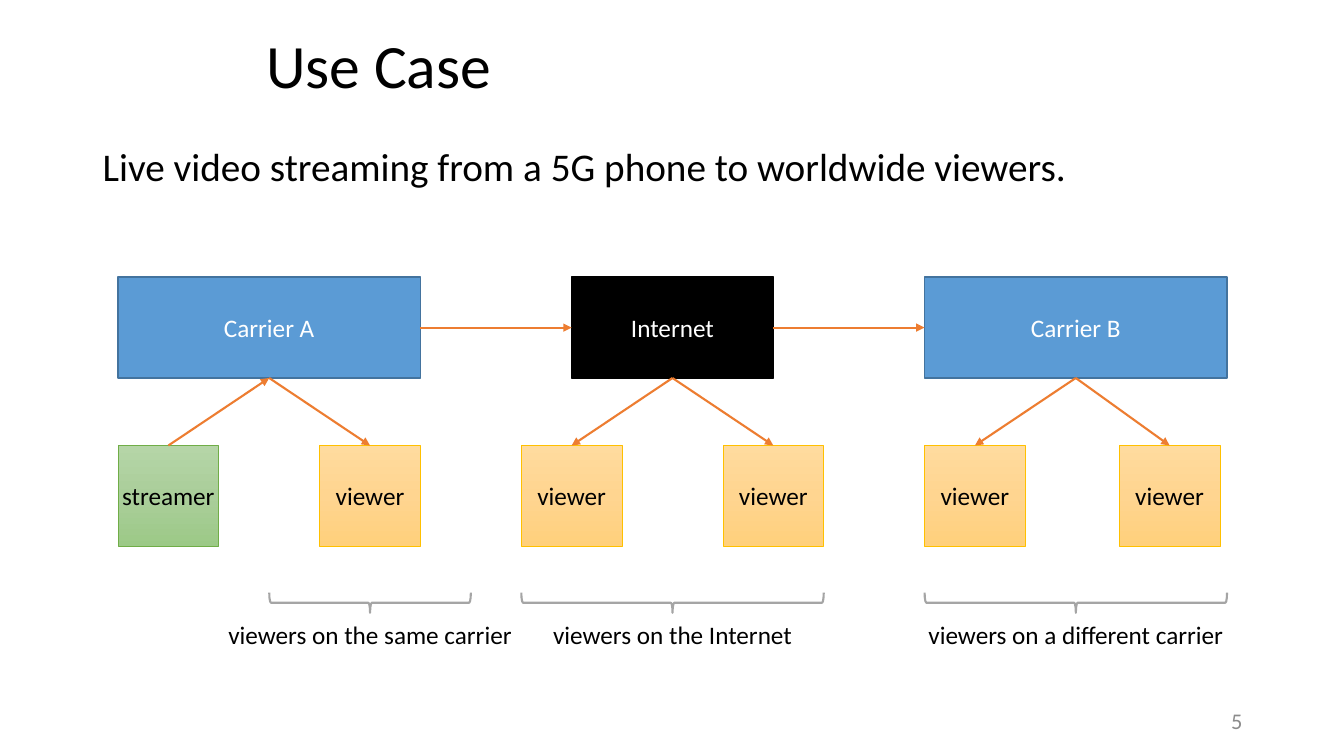
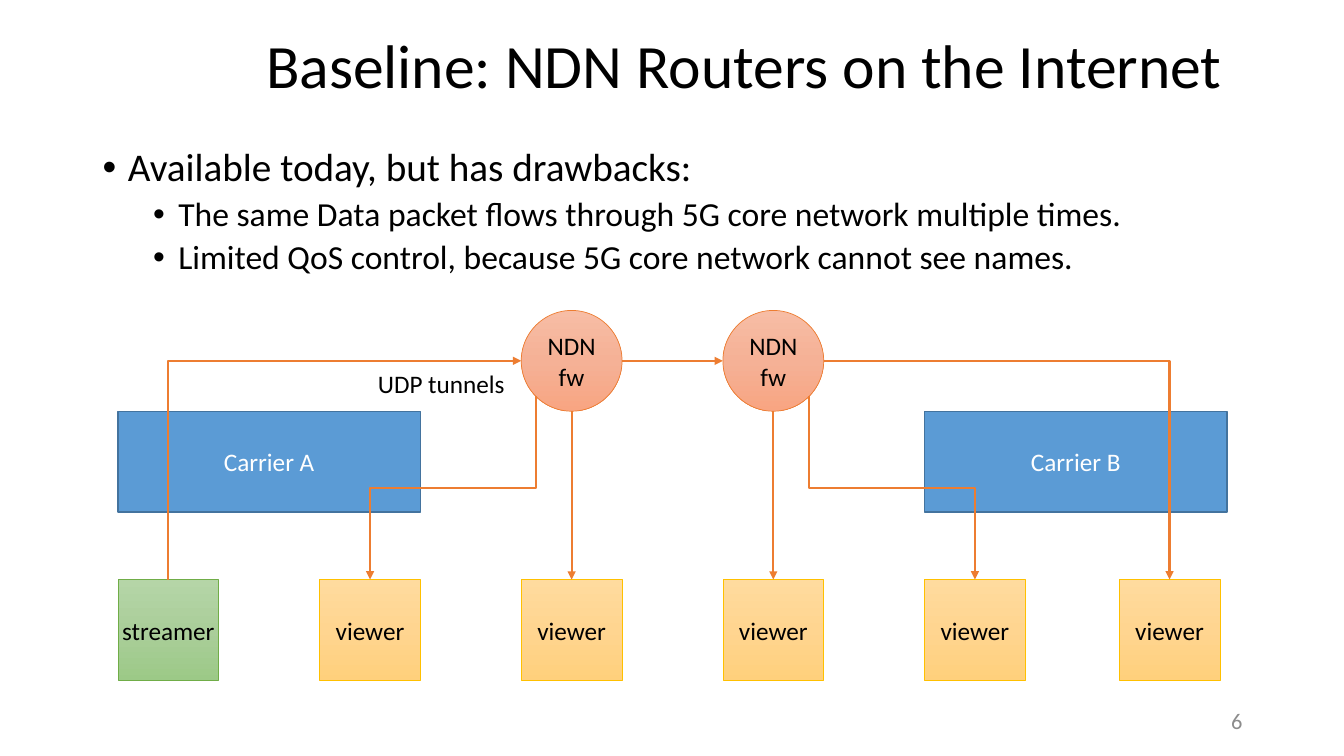
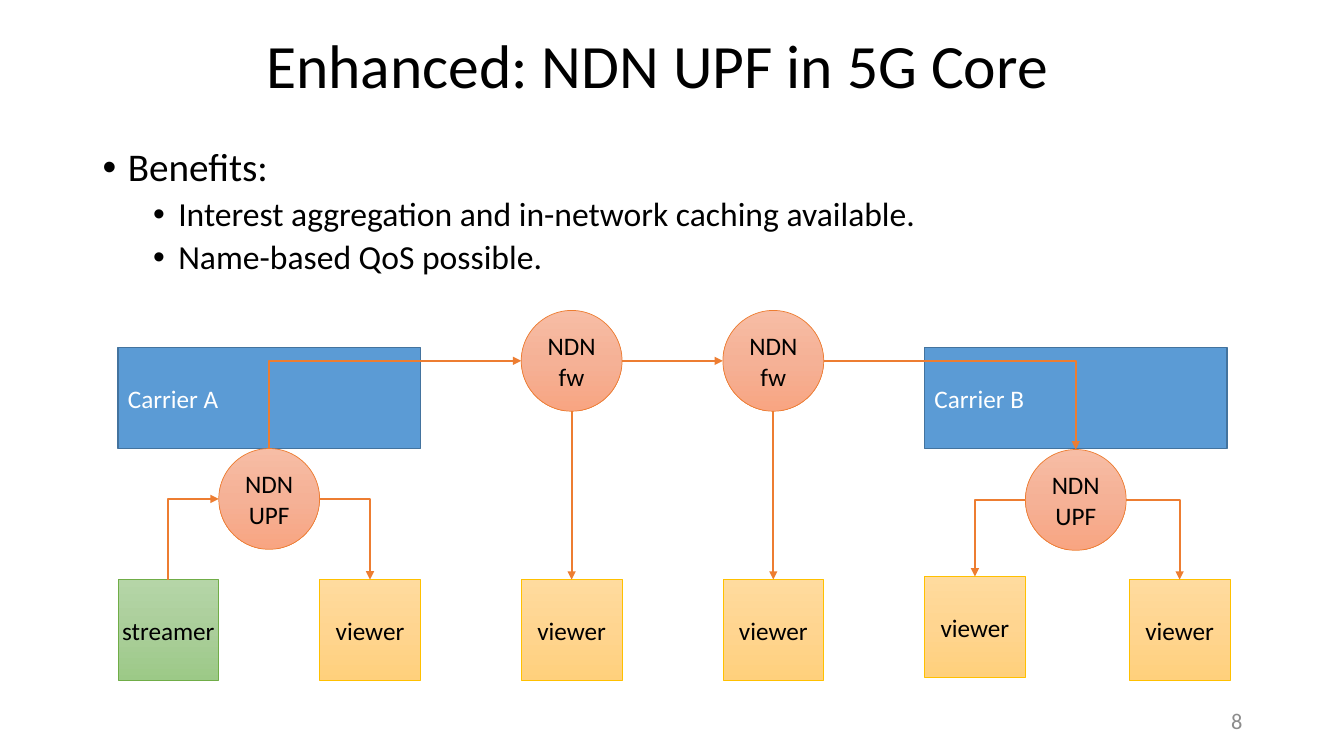
from copy import deepcopy
from dataclasses import dataclass
from math import cos, radians, sin

from lxml.etree import SubElement
from pptx import Presentation
from pptx.dml.color import RGBColor as Rgb
from pptx.enum.shapes import MSO_CONNECTOR as Wire, MSO_SHAPE as Shape
from pptx.enum.text import MSO_ANCHOR as Anchor, PP_ALIGN as Align
from pptx.oxml.ns import qn
from pptx.util import Emu, Pt

PX = 9144
TOP, LEFT, LOWER_LEFT, BOTTOM, LOWER_RIGHT, RIGHT = 0, 2, 3, 4, 5, 6


@dataclass(frozen=True)
class Theme:
    font: str = "Calibri"
    ink: str = "000000"
    paper: str = "FFFFFF"
    muted: str = "8C8C8C"
    carrier: str = "5B9BD5"
    carrier_edge: str = "43739E"
    arrow: str = "ED7D31"
    brace: str = "A5A5A5"
    green: tuple = ("B5D5A7", "AACE9A", "9CC987")
    green_edge: str = "70AD47"
    yellow: tuple = ("FFDB9E", "FFD590", "FFD07C")
    yellow_edge: str = "FFC000"
    orange: tuple = ("F7BDA5", "F5B196", "F8A582")
    title_size: int = 44
    body_sizes: tuple = (28, 24)
    label_size: int = 18
    number_size: int = 16


THEME = Theme()


def px(length):
    return Emu(round(length * PX))


def add_bullet(para, level):
    para.level = level
    props = para._p.get_or_add_pPr()
    props.set("marL", str(px(25 + 50 * level)))
    props.set("indent", str(px(-25)))
    SubElement(props, qn("a:buFont")).set("typeface", "Arial")
    SubElement(props, qn("a:buChar")).set("char", "•")


def write(box, *lines, sizes=(THEME.label_size,), color=THEME.ink, align=Align.LEFT,
          anchor=Anchor.MIDDLE, wrap=True, spacing=None, bullets=False):
    frame = box.text_frame
    frame.word_wrap = wrap
    frame.vertical_anchor = anchor
    for index, line in enumerate(lines):
        para = frame.add_paragraph() if index else frame.paragraphs[0]
        level = min(index, len(sizes) - 1)
        if bullets:
            add_bullet(para, level)
        para.alignment = align
        if spacing:
            para.line_spacing = spacing
        para.space_before = Pt(5 if index else 0)
        span = para.add_run()
        span.text = line
        span.font.name = THEME.font
        span.font.size = Pt(sizes[level])
        span.font.color.rgb = Rgb.from_string(color)


def site(shape, side):
    angle = radians(45 * side)
    return (round(shape.left + shape.width / 2 * (1 - sin(angle))),
            round(shape.top + shape.height / 2 * (1 - cos(angle))))


class Deck:
    def __init__(self, theme):
        self.theme = theme
        self.file = Presentation()
        self.file.slide_width, self.file.slide_height = px(1333), px(750)
        self.page = None

    def start(self, title, number):
        self.page = self.file.slides.add_slide(self.file.slide_layouts[6])
        self.text(254, 15, 988, 107, title, sizes=(self.theme.title_size,), spacing=0.9)
        self.text(942, 695, 300, 40, str(number), sizes=(self.theme.number_size,),
                  color=self.theme.muted, align=Align.RIGHT)

    def text(self, left, top, width, height, *lines, **style):
        box = self.page.shapes.add_textbox(px(left), px(top), px(width), px(height))
        write(box, *lines, **style)

    def body(self, height, *lines, bullets=True):
        self.text(92, 142, 1150, height, *lines, sizes=self.theme.body_sizes,
                  anchor=Anchor.TOP, spacing=0.9, bullets=bullets)

    def shape(self, kind, left, top, width, height, fill, edge, weight):
        shape = self.page.shapes.add_shape(kind, px(left), px(top), px(width), px(height))
        shape.shadow.inherit = False
        shape.line.color.rgb = Rgb.from_string(edge)
        shape.line.width = Pt(weight)
        if fill is None:
            shape.fill.background()
        elif isinstance(fill, tuple):
            self.shade(shape, fill)
        else:
            shape.fill.solid()
            shape.fill.fore_color.rgb = Rgb.from_string(fill)
        return shape

    def shade(self, shape, colors):
        shape.fill.gradient()
        shape.fill.gradient_angle = 270
        stops = shape.element.spPr.find(".//" + qn("a:gsLst"))
        stops.append(deepcopy(stops[-1]))
        for stop, position, color in zip(shape.fill.gradient_stops, (0, 0.5, 1), colors):
            stop.position = position
            stop.color.rgb = Rgb.from_string(color)

    def network(self, name, left, top, width=300, fill=THEME.carrier,
                edge=THEME.carrier_edge, align=Align.CENTER):
        shape = self.shape(Shape.RECTANGLE, left, top, width, 100, fill, edge, 1)
        write(shape, name, color=self.theme.paper, align=align)
        return shape

    def carriers(self, top, align=Align.CENTER):
        return [self.network(name, left, top, align=align)
                for name, left in (("Carrier A", 117), ("Carrier B", 917))]

    def person(self, name, left, top):
        theme = self.theme
        streams = name == "streamer"
        fill, edge = ((theme.green, theme.green_edge) if streams
                      else (theme.yellow, theme.yellow_edge))
        shape = self.shape(Shape.RECTANGLE, left, top, 100, 100, fill, edge, 0.5)
        write(shape, name, align=Align.CENTER, wrap=not streams)
        return shape

    def people(self, top, last_left=1110, fifth_top=None):
        spots = [(117 + 200 * index, top) for index in range(4)]
        spots += [(917, fifth_top or top), (last_left, top)]
        return [self.person("viewer" if index else "streamer", *spot)
                for index, spot in enumerate(spots)]

    def router(self, name, left, top):
        shape = self.shape(Shape.OVAL, left, top, 100, 100,
                           self.theme.orange, self.theme.arrow, 0.5)
        write(shape, name, align=Align.CENTER)
        return shape

    def forwarders(self, viewers):
        pair = [self.router("NDN fw", left, 308) for left in (517, 717)]
        for forwarder, viewer in zip(pair, viewers):
            self.link(forwarder, BOTTOM, viewer, TOP)
        self.link(pair[0], RIGHT, pair[1], LEFT)
        return pair

    def brace(self, label, center, span):
        shape = self.shape(Shape.RIGHT_BRACE, center - 10, 598 - span / 2, 20, span,
                           None, self.theme.brace, 1.5)
        shape.rotation = 90
        write(shape, label, align=Align.CENTER, wrap=False)
        shape.text_frame.margin_left = px(80)
        shape.text_frame._txBody.bodyPr.set("vert", "vert270")

    def link(self, start, start_side, end, end_side, elbow=False):
        begin, finish = site(start, start_side), site(end, end_side)
        wire = self.page.shapes.add_connector(
            Wire.ELBOW if elbow else Wire.STRAIGHT, *begin, *finish)
        self.join(wire, wire.begin_connect, "a:stCxn", start, start_side)
        self.join(wire, wire.end_connect, "a:endCxn", end, end_side)
        if elbow:
            self.bend(wire, begin, finish, start_side, end_side)
        wire.line.color.rgb = Rgb.from_string(self.theme.arrow)
        wire.line.width = Pt(1.5)
        SubElement(wire.line._get_or_add_ln(), qn("a:tailEnd")).set("type", "triangle")
        SubElement(wire.element.spPr, qn("a:effectLst"))

    def join(self, wire, connect, tag, shape, side):
        if shape.auto_shape_type == Shape.RECTANGLE:
            connect(shape, side // 2)
        else:
            joints = next(wire.element.iter(qn("p:cNvCxnSpPr")))
            joint = SubElement(joints, qn(tag))
            joint.set("id", str(shape.shape_id))
            joint.set("idx", str(side))

    def bend(self, wire, begin, finish, start_side, end_side):
        upright = start_side not in (LEFT, RIGHT)
        if not (upright and end_side in (TOP, BOTTOM)):
            wire.element.spPr.find(qn("a:prstGeom")).set("prst", "bentConnector2")
        if upright:
            across, down = finish[0] - begin[0], finish[1] - begin[1]
            wire.width, wire.height = abs(down), abs(across)
            wire.left = (begin[0] + finish[0] - abs(down)) // 2
            wire.top = (begin[1] + finish[1] - abs(across)) // 2
            frame = wire.element.spPr.find(qn("a:xfrm"))
            frame.set("rot", "5400000")
            frame.set("flipH", str(int(down < 0)))
            frame.set("flipV", str(int(across > 0)))


def use_case(deck):
    deck.start("Use Case", 5)
    deck.body(67, "Live video streaming from a 5G phone to worldwide viewers.", bullets=False)
    carrier_a, carrier_b = deck.carriers(275)
    internet = deck.network("Internet", 567, 275, width=200,
                            fill=deck.theme.ink, edge=deck.theme.ink)
    streamer, *viewers = deck.people(442)
    deck.link(streamer, TOP, carrier_a, BOTTOM)
    sources = (carrier_a, internet, internet, carrier_b, carrier_b)
    for source, viewer in zip(sources, viewers):
        deck.link(source, BOTTOM, viewer, TOP)
    deck.link(carrier_a, RIGHT, internet, LEFT)
    deck.link(internet, RIGHT, carrier_b, LEFT)
    deck.brace("viewers on the same carrier", 367, 200)
    deck.brace("viewers on the Internet", 667, 300)
    deck.brace("viewers on a different carrier", 1067, 300)


def baseline(deck):
    deck.start("Baseline: NDN Routers on the Internet", 6)
    deck.body(167, "Available today, but has drawbacks:",
              "The same Data packet flows through 5G core network multiple times.",
              "Limited QoS control, because 5G core network cannot see names.")
    deck.carriers(408)
    streamer, *viewers = deck.people(575)
    first, second = deck.forwarders(viewers[1:3])
    deck.link(streamer, TOP, first, LEFT, elbow=True)
    deck.link(first, LOWER_LEFT, viewers[0], TOP, elbow=True)
    deck.link(second, LOWER_RIGHT, viewers[3], TOP, elbow=True)
    deck.link(second, RIGHT, viewers[4], TOP, elbow=True)
    deck.text(365, 361, 147, 40, "UDP tunnels", anchor=Anchor.TOP, wrap=False)


def enhanced(deck):
    deck.start("Enhanced: NDN UPF in 5G Core", 8)
    deck.body(166, "Benefits:",
              "Interest aggregation and in-network caching available.",
              "Name-based QoS possible.")
    deck.carriers(345, align=Align.LEFT)
    streamer, *viewers = deck.people(575, last_left=1120, fifth_top=572)
    first, second = deck.forwarders(viewers[1:3])
    upf_a = deck.router("NDN UPF", 217, 445)
    upf_b = deck.router("NDN UPF", 1017, 446)
    deck.link(streamer, TOP, upf_a, LEFT, elbow=True)
    deck.link(upf_a, RIGHT, viewers[0], TOP, elbow=True)
    deck.link(upf_b, LEFT, viewers[3], TOP, elbow=True)
    deck.link(upf_b, RIGHT, viewers[4], TOP, elbow=True)
    deck.link(second, RIGHT, upf_b, TOP, elbow=True)
    deck.link(upf_a, TOP, first, LEFT, elbow=True)


def main():
    deck = Deck(THEME)
    for build in (use_case, baseline, enhanced):
        build(deck)
    deck.file.save("out.pptx")


if __name__ == "__main__":
    main()
